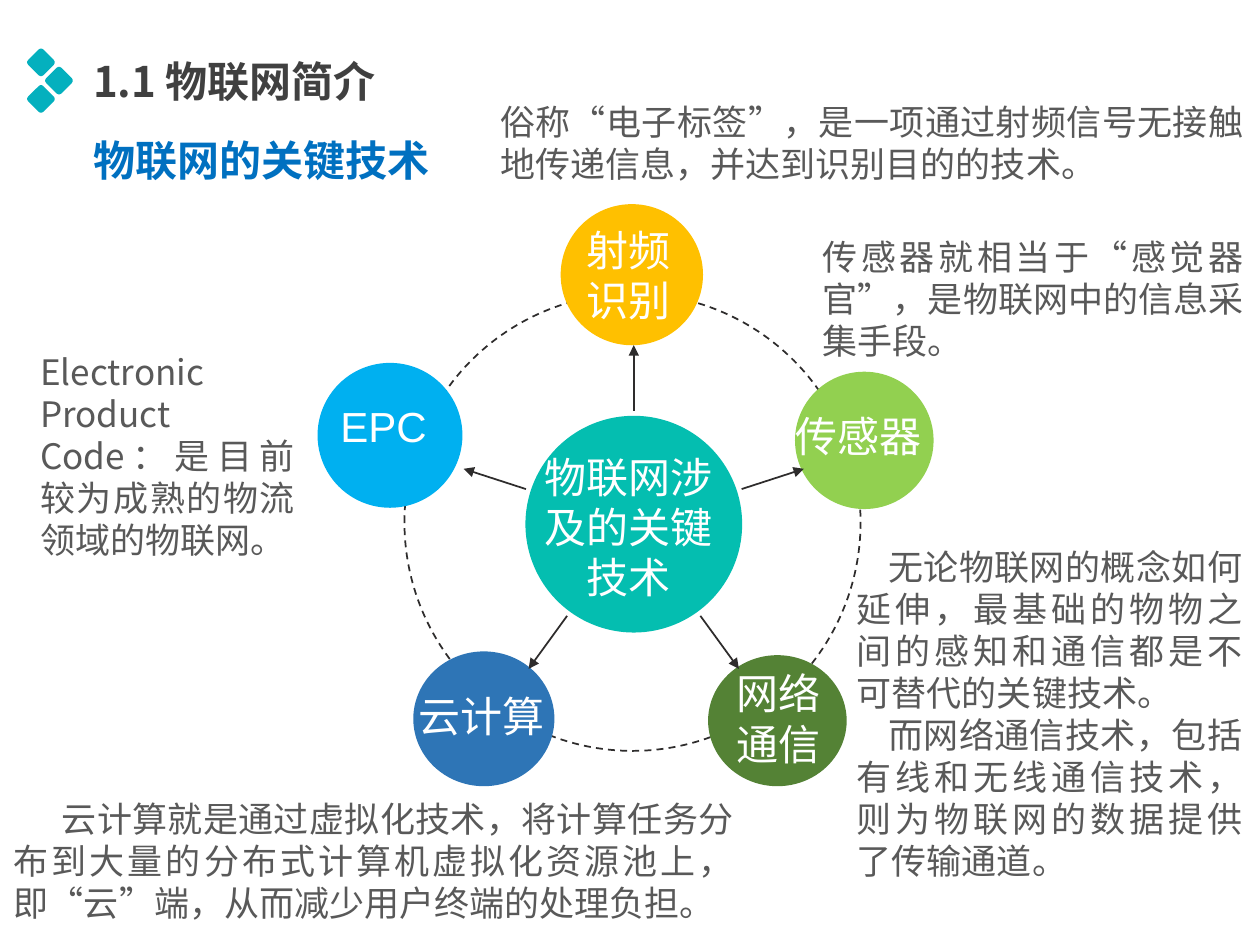
from math import cos, radians, sin

from pptx import Presentation
from pptx.dml.color import RGBColor as RGB
from pptx.enum.dml import MSO_LINE
from pptx.enum.shapes import MSO_CONNECTOR as CONN, MSO_SHAPE as SHAPE
from pptx.enum.text import MSO_AUTO_SIZE as FIT, PP_ALIGN as ALIGN
from pptx.oxml.ns import qn
from pptx.util import Inches, Pt
from lxml.etree import SubElement

COLS, ROWS = 100, 75
W, H = Inches(10), Inches(7.5)
CJK = "Noto Sans CJK SC"
COLORS = {
    "teal": "04BEB0", "mark": "04B0BE", "amber": "FFC000", "lime": "92D050",
    "green": "548235", "blue": "2E75B6", "sky": "00B0F0", "ink": "2E2C2C",
    "white": "FFFFFF", "grey": "595959", "title": "404040", "subtitle": "0070C0",
}
STYLES = {
    "label": dict(name="Arial", size=Pt(24)),
    "note": dict(name=CJK, size=Pt(20)),
    "heading": dict(name=CJK, size=Pt(24), bold=True),
}
MARGINS = dict(margin_left=Inches(0.07), margin_right=Inches(0.07),
               margin_top=Inches(0.04), margin_bottom=Inches(0.04))

HUB = ("物联网涉及的关键技术", "teal", (16.7, 17, 17.2, 17.2), (17, 19.4, 15.7, 12.9))
TOPICS = [
    ("射频识别", "amber", (19.5, 0.2, 11.3, 11.2), (20.6, 1.4, 8.5, 8.8)),
    ("传感器", "lime", (38.1, 13.5, 11, 10.9), (36.7, 16.2, 12.9, 4.8)),
    ("网络通信", "green", (31.2, 36, 11, 10.4), (31.4, 36.6, 10.7, 8.8)),
    ("云计算", "blue", (7.8, 35.7, 11.2, 10.7), (6.8, 38.4, 12.9, 4.8)),
    ("EPC", "sky", (0.2, 12.8, 11.5, 11.5), (0.4, 15.4, 10.1, 4.8)),
]
NOTES = [
    ((39, 7.6, 60.4, 7.5), 0,
     ["俗称“电子标签”，是一项通过射频信号无接触地传递信息，并达到识别目的的技术。"]),
    ((64.6, 18.3, 34.8, 10.9), 0,
     ["传感器就相当于“感觉器官”，是物联网中的信息采集手段。"]),
    ((67.3, 42.9, 32, 27.7), 0.25,
     ["无论物联网的概念如何延伸，最基础的物物之间的感知和通信都是不可替代的关键技术。",
      "而网络通信技术，包括有线和无线通信技术，则为物联网的数据提供了传输通道。"]),
    ((2.5, 27.4, 21.6, 17.6), 0,
     ["Electronic Product Code：是目前较为成熟的物流领域的物联网。"]),
    ((0.4, 62.9, 58.5, 10.9), 0.38,
     ["云计算就是通过虚拟化技术，将计算任务分布到大量的分布式计算机虚拟化资源池上，"
      "即“云”端，从而减少用户终端的处理负担。"]),
]


def apply(obj, values):
    """Set each attribute of obj from a dict."""
    for key, value in values.items():
        setattr(obj, key, value)


def emu(*lengths):
    """Turn alternating columns and rows into lengths on the slide."""
    return [int(n * (H / ROWS if i % 2 else W / COLS)) for i, n in enumerate(lengths)]


def inside(box, part):
    """Move a part from its place in a box to its place on the slide."""
    return (box[0] + part[0], box[1] + part[1], *part[2:])


def add_shape(s, kind, box, color=None):
    """Add a flat shape, filled if a colour is given."""
    sp = s.shapes.add_shape(kind, *emu(*box))
    sp.shadow.inherit = False
    if color:
        sp.fill.solid()
        sp.fill.fore_color.rgb = RGB.from_string(COLORS[color])
        sp.line.fill.background()
    else:
        sp.fill.background()
    return sp


def set_line(line, color="ink"):
    """Give a line its colour and width."""
    line.color.rgb = RGB.from_string(COLORS[color])
    line.width = Pt(1)


def add_text(s, box, texts, style, color, align, indent=0):
    """Add a wrapped text box with one paragraph for each text."""
    tf = s.shapes.add_textbox(*emu(*box)).text_frame
    apply(tf, dict(MARGINS, word_wrap=True, auto_size=FIT.SHAPE_TO_FIT_TEXT))
    for i, text in enumerate(texts):
        p = tf.add_paragraph() if i else tf.paragraphs[0]
        p.alignment = align
        if indent:
            p._p.get_or_add_pPr().set("indent", str(Inches(indent)))
        r = p.add_run()
        r.text = text
        apply(r.font, STYLES[style])
        r.font.color.rgb = RGB.from_string(COLORS[color])
        SubElement(r._r.get_or_add_rPr(), qn("a:ea")).set("typeface", CJK)


def add_arrow(s, start, end):
    """Add a straight arrow between two grid points."""
    c = s.shapes.add_connector(CONN.STRAIGHT, *emu(*start, *end))
    set_line(c.line)
    SubElement(c.line._get_or_add_ln(), qn("a:tailEnd")).set("type", "triangle")
    SubElement(c._element.spPr, qn("a:effectLst"))


def add_diagram(s, box):
    """Draw the hub, its ring, the topics around it and the arrows to them."""
    add_shape(s, SHAPE.OVAL, inside(box, HUB[2]), HUB[1])
    ring = add_shape(s, SHAPE.OVAL, inside(box, (7.1, 7.3, 36.2, 36.3)))
    set_line(ring.line)
    ring.line.dash_style = MSO_LINE.DASH
    for _, color, circle, _ in TOPICS:
        add_shape(s, SHAPE.OVAL, inside(box, circle), color)
    cx, cy = inside(box, (25.3, 25.6))
    for i in range(len(TOPICS)):
        a = radians(360 / len(TOPICS) * i - 90)
        add_arrow(s, *[(cx + d * cos(a), cy + d * sin(a)) for d in (9, 14.2)])
    for text, _, _, label in [HUB, *TOPICS]:
        add_text(s, inside(box, label), [text], "label", "white", ALIGN.CENTER)


def add_notes(s):
    """Place the explanation of each topic."""
    for box, indent, texts in NOTES:
        add_text(s, box, texts, "note", "grey", ALIGN.JUSTIFY, indent)


def add_heading(s, box):
    """Draw the three diamonds, the title and the subtitle."""
    side = 1.7
    for i in range(3):
        part = (0.2 + 1.43 * (i % 2), 0.2 + 1.45 * i, side, side)
        sp = add_shape(s, SHAPE.ROUNDED_RECTANGLE, inside(box, part), "mark")
        sp.adjustments[0] = 0.15
        sp.rotation = 45
    for text, color, part in [("1.1 物联网简介", "title", (4.5, 0.1, 25.6, 4.8)),
                              ("物联网的关键技术", "subtitle", (4.5, 6.4, 35.2, 4.8))]:
        add_text(s, inside(box, part), [text], "heading", color, ALIGN.LEFT)


def main():
    """Build and save the slide."""
    prs = Presentation()
    prs.slide_width, prs.slide_height = W, H
    s = prs.slides.add_slide(prs.slide_layouts[6])
    add_diagram(s, (25, 16, 50, 47))
    add_notes(s)
    add_heading(s, (2.2, 3.9, 40, 12))
    prs.save("out.pptx")


if __name__ == "__main__":
    main()
